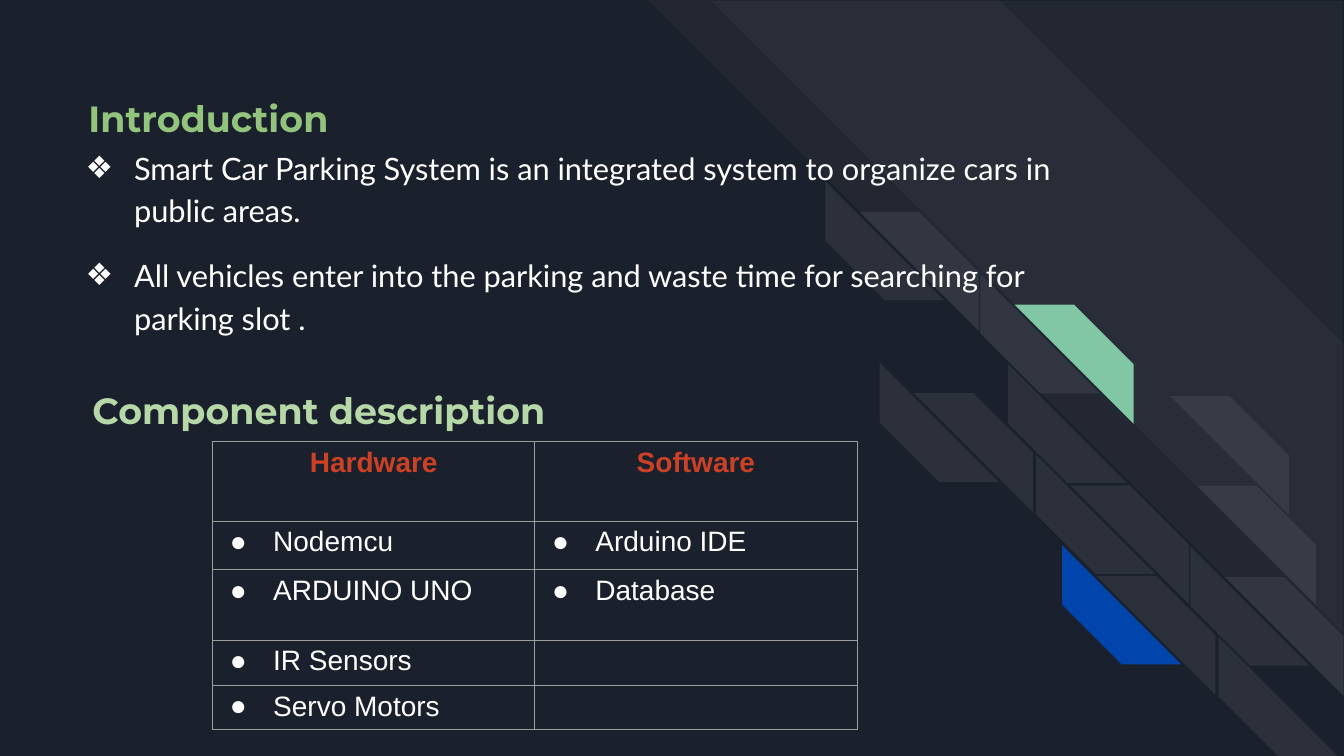
from lxml.etree import SubElement
from pptx import Presentation
from pptx.dml.color import RGBColor
from pptx.enum.shapes import MSO_SHAPE
from pptx.enum.text import MSO_ANCHOR, MSO_AUTO_SIZE, PP_ALIGN
from pptx.oxml.ns import qn
from pptx.util import Cm, Pt

COLORS = {
    "night": "1B212C", "white": "FFFFFF", "mint": "82C7A5", "blue": "0145AC",
    "heading": "93C47D", "subheading": "B6D7A8", "header": "CC4125",
    "border": "9E9E9E", "black": "000000",
}


def add_span(para, text, font, size, color, bold=False):
    span = para.add_run()
    span.text = text
    span.font.name = font
    span.font.size = Pt(size)
    span.font.bold = bold
    span.font.color.rgb = RGBColor.from_string(COLORS[color])
    return span


def add_bullet(para, mark, hanging):
    props = para._p.get_or_add_pPr()
    props.set("marL", str(Cm(1.27)))
    props.set("indent", str(-Cm(hanging)))
    tint = SubElement(props, qn("a:buClr"))
    SubElement(tint, qn("a:srgbClr"), val=COLORS["white"])
    SubElement(props, qn("a:buFont"), typeface="Arial")
    SubElement(props, qn("a:buChar"), char=mark)


deck = Presentation()
deck.slide_width, deck.slide_height = Cm(33.87), Cm(19.05)
page = deck.slides.add_slide(deck.slide_layouts[5])
page.background.fill.solid()
page.background.fill.fore_color.rgb = RGBColor.from_string(COLORS["night"])

stripes = [
    (16.33, 0, 17.53, 90, 0.495, "white", 3),
    (17.93, 0.03, 15.9, 90, 0, "white", 3),
]
bricks = [
    (20.8, 4.57, "white", "white"),
    (22.17, 9.14, "white", "white"),
    (24.71, 6.91, "white", "mint"),
    (25.4, 9.17, "white", None),
    (28.63, 9.21, None, "white"),
    (29.31, 11.47, None, "white"),
    (26.11, 11.46, "white", "white"),
    (26.77, 13.74, "blue", "white"),
    (30, 13.77, "white", "white"),
    (30.71, 16.05, "white", None),
]
for left, top, lower, upper in bricks:
    for x, y, turn, color in ((left, top, 270, lower), (left + 0.86, top + 0.77, 90, upper)):
        if color:
            stripes.append((x, y, 3, turn, 0.5, color, 7 if color == "white" else 100))

for x, y, side, turn, cut, color, opacity in stripes:
    stripe = page.shapes.add_shape(MSO_SHAPE.DIAGONAL_STRIPE, Cm(x), Cm(y), Cm(side), Cm(side))
    stripe.rotation = turn
    stripe.adjustments[0] = cut
    stripe.shadow.inherit = False
    stripe.line.fill.background()
    stripe.fill.solid()
    stripe.fill.fore_color.rgb = RGBColor.from_string(COLORS[color])
    if opacity < 100:
        tint = stripe._element.spPr.find(qn("a:solidFill"))[0]
        SubElement(tint, qn("a:alpha"), val=str(opacity * 1000))

title = page.shapes.title
title.left, title.top, title.width, title.height = Cm(1.9), Cm(0.76), Cm(17), Cm(4.24)
body = page.shapes.add_textbox(Cm(1.78), Cm(3.3), Cm(26.06), Cm(6.1))
for box in (title, body):
    frame = box.text_frame
    frame.word_wrap = True
    frame.auto_size = MSO_AUTO_SIZE.NONE
    frame.margin_left = frame.margin_right = frame.margin_top = frame.margin_bottom = Cm(0.33)
title.text_frame.vertical_anchor = MSO_ANCHOR.MIDDLE
para = title.text_frame.paragraphs[0]
para.alignment = PP_ALIGN.LEFT
para.line_spacing = 1.15
para.space_after = Pt(16)
add_span(para, "Introduction", "Montserrat", 26, "heading", True)

points = [
    "Smart Car Parking System is an integrated system to organize cars in public areas.",
    "All vehicles enter into the parking and waste time for searching for parking slot .",
]
for index, point in enumerate(points):
    para = body.text_frame.add_paragraph() if index else body.text_frame.paragraphs[0]
    add_bullet(para, "❖", 1.22)
    para.line_spacing = 1.15
    if index:
        para.space_before = Pt(16)
    span = add_span(para, point, "Lato", 22, "white")
    effects = SubElement(span.font._element, qn("a:effectLst"))
    span.font._element.find(qn("a:latin")).addprevious(effects)
    shadow = SubElement(effects, qn("a:outerShdw"), blurRad="38100", dist="19050", dir="2700000")
    tint = SubElement(shadow, qn("a:srgbClr"), val=COLORS["black"])
    SubElement(tint, qn("a:alpha"), val="40000")

subtitle = page.shapes.add_textbox(Cm(2.08), Cm(9.65), Cm(22.3), Cm(2.18))
subtitle.text_frame.word_wrap = True
add_span(subtitle.text_frame.paragraphs[0], "Component description", "Montserrat", 26, "subheading", True)

components = [
    ("Hardware", "Software"),
    ("Nodemcu", "Arduino IDE"),
    ("ARDUINO UNO", "Database"),
    ("IR Sensors", ""),
    ("Servo Motors", ""),
]
heights = [2, 1.23, 1.77, 1.15, 1.08]
table = page.shapes.add_table(5, 2, Cm(5.36), Cm(11.13), Cm(16.24), Cm(sum(heights))).table
table.first_row = table.horz_banding = False
for column in table.columns:
    column.width = Cm(8.12)
for row_index, (names, height) in enumerate(zip(components, heights)):
    table.rows[row_index].height = Cm(height)
    for column_index, name in enumerate(names):
        cell = table.cell(row_index, column_index)
        props = cell._tc.get_or_add_tcPr()
        for edge in ("a:lnL", "a:lnR", "a:lnT", "a:lnB"):
            line = SubElement(props, qn(edge), w=str(Pt(0.75)))
            fill = SubElement(line, qn("a:solidFill"))
            SubElement(fill, qn("a:srgbClr"), val=COLORS["border"])
        cell.fill.background()
        para = cell.text_frame.paragraphs[0]
        if row_index == 0:
            para.alignment = PP_ALIGN.CENTER
            add_span(para, name, "Arial", 20, "header", True)
        elif name:
            add_bullet(para, "●", 1.09)
            add_span(para, name, "Arial", 20, "white")

deck.save("out.pptx")
